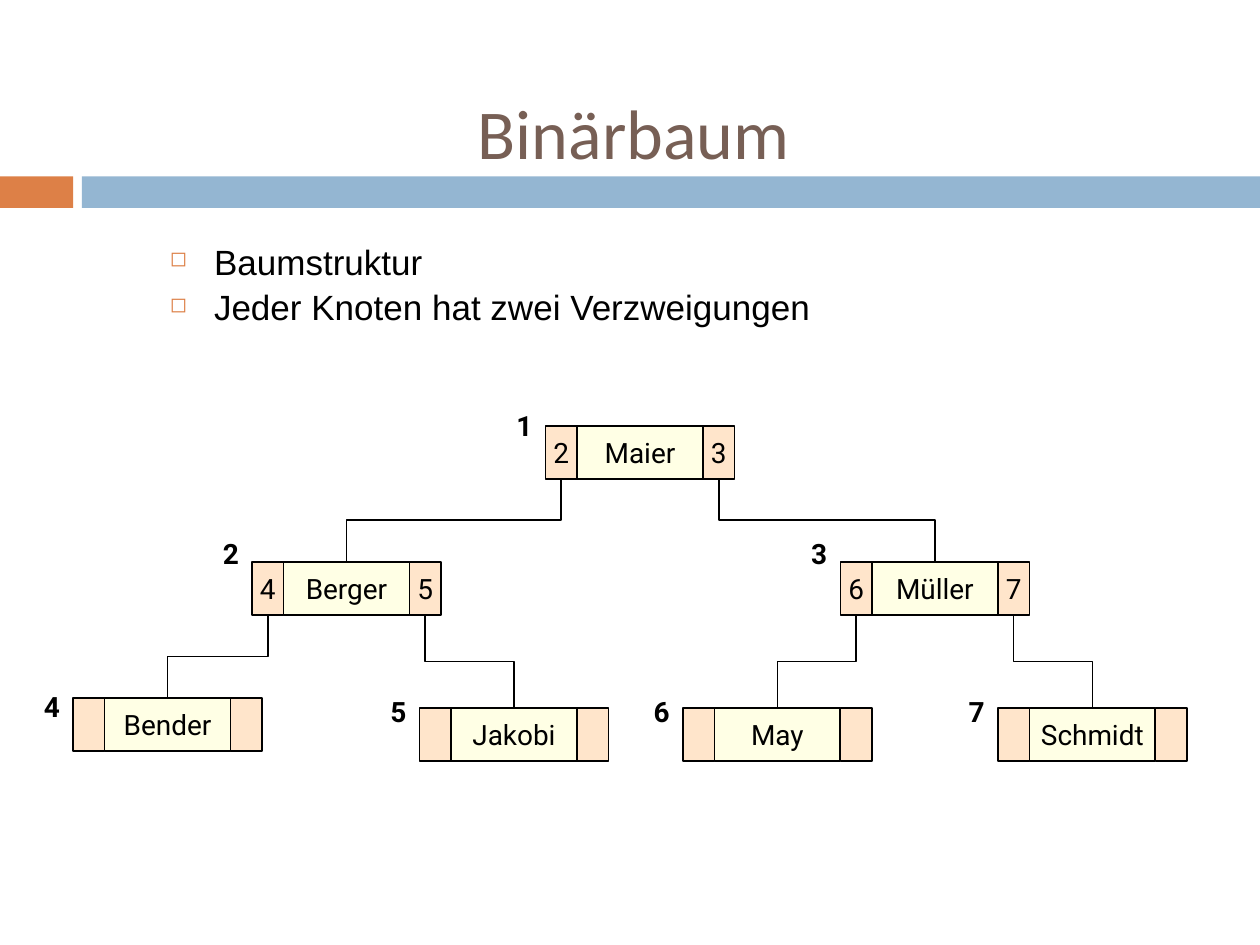
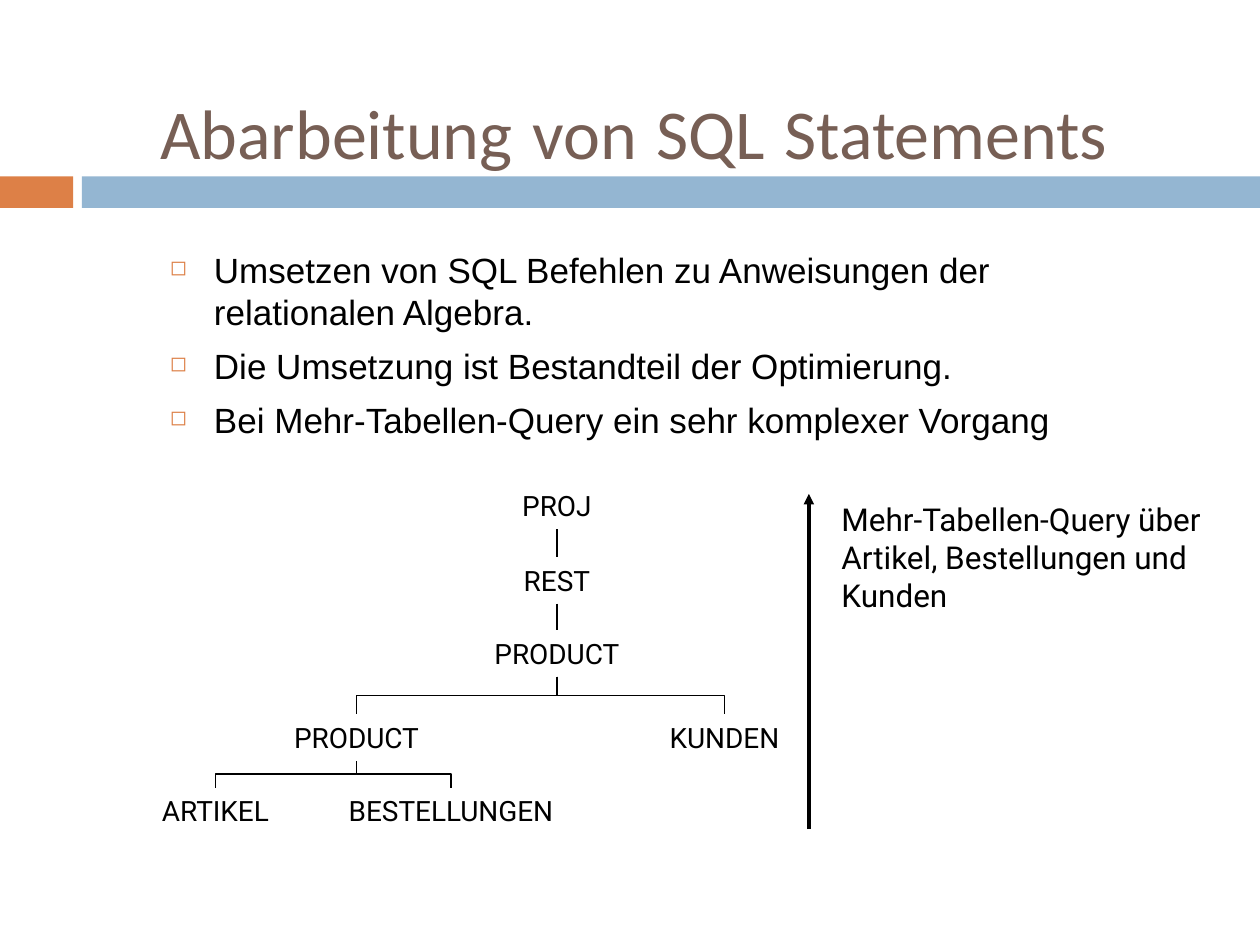
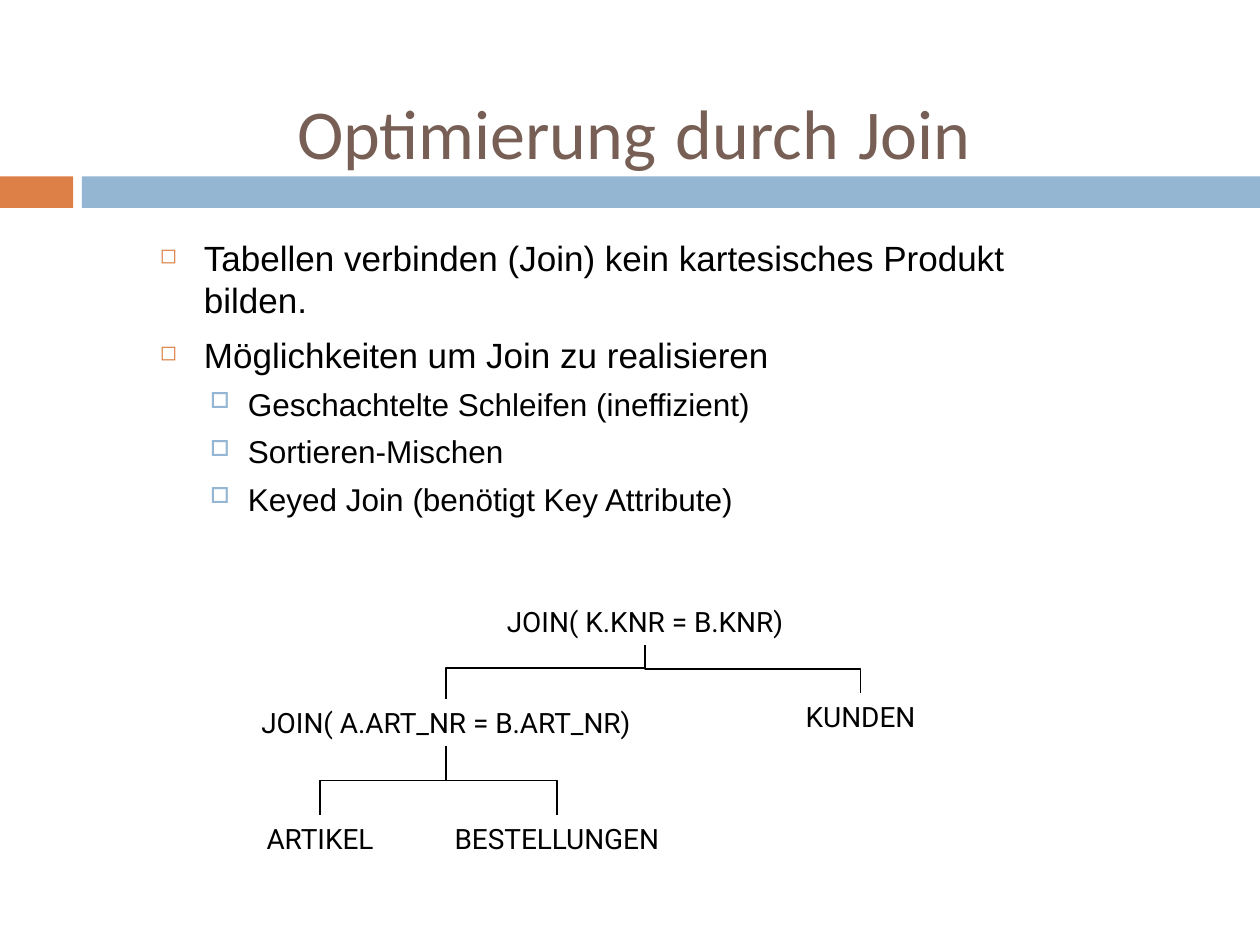
"""Build three slides on binary trees and query optimisation."""
from lxml.etree import SubElement
from pptx import Presentation
from pptx.dml.color import RGBColor
from pptx.enum.shapes import MSO_CONNECTOR as Link, MSO_SHAPE as Preset
from pptx.enum.text import MSO_ANCHOR as Anchor, PP_ALIGN as Align
from pptx.oxml.ns import qn
from pptx.util import Inches, Pt

BLACK = RGBColor(0, 0, 0)
BROWN = RGBColor(0x77, 0x5F, 0x55)
ORANGE = RGBColor(0xDD, 0x80, 0x47)
BLUE = RGBColor(0x94, 0xB6, 0xD2)
CREAM = RGBColor(0xFF, 0xFF, 0xCC)
PEACH = RGBColor(0xFF, 0xCC, 0x99)

BANDS = [(0, 0.58, ORANGE), (0.65, 9.35, BLUE)]
LEVELS = [
    dict(size=20, indent=(0.35, -0.35), before=7, bullet="◻", color=ORANGE, scale=60),
    dict(size=18, indent=(0.7, -0.3), before=5.5, bullet="□", color=BLUE, scale=70),
]

NODE_HEIGHT, POINTER_WIDTH, NAME_WIDTH = 0.42, 0.25, 1
NODES = {
    1: ("Maier", 4.33, 3.38, (2, 3)),
    2: ("Berger", 2, 4.46, (4, 5)),
    3: ("Müller", 6.67, 4.46, (6, 7)),
    4: ("Bender", 0.58, 5.54, ()),
    5: ("Jakobi", 3.33, 5.62, ()),
    6: ("May", 5.42, 5.62, ()),
    7: ("Schmidt", 7.92, 5.62, ()),
}
NUMBER_WIDTH = 0.33
NUMBER_RISE = {1: 0.19, 2: 0.25, 3: 0.25, 4: 0.12, 5: 0.16, 6: 0.16, 7: 0.16}

LABEL_HEIGHT = 0.37
QUERY_LABELS = {
    "articles": ("ARTIKEL", 1.71, 6.25, 1.08),
    "orders": ("BESTELLUNGEN", 3.58, 6.25, 1.83),
    "inner": ("PRODUCT", 2.83, 5.67, 1.83),
    "outer": ("PRODUCT", 4.42, 5, 2),
    "customers": ("KUNDEN", 5.75, 5.67, 1.83),
    "restriction": ("REST", 4.42, 4.42, 1.83),
    "projection": ("PROJ", 4.42, 3.83, 1.83),
}
QUERY_LINKS = [
    ("inner", "articles", 0.5), ("inner", "orders", 0.5),
    ("outer", "inner", 0.5), ("outer", "customers", 0.5),
    ("restriction", "outer", 0.5), ("projection", "restriction", 0.5),
]
QUERY_NOTE = "Mehr-Tabellen-Query über\nArtikel, Bestellungen und Kunden"

JOIN_LABELS = {
    "articles": ("ARTIKEL", 2.54, 6.47, 1.08),
    "orders": ("BESTELLUNGEN", 4.42, 6.47, 1.83),
    "inner": ("JOIN( A.ART_NR = B.ART_NR)", 3.54, 5.55, 3.42),
    "customers": ("KUNDEN", 6.83, 5.5, 1.83),
    "outer": ("JOIN( K.KNR = B.KNR)", 5.12, 4.75, 3.42),
}
JOIN_LINKS = [
    ("inner", "articles", 0.5), ("inner", "orders", 0.5),
    ("outer", "inner", 0.43), ("outer", "customers", 0.5),
]

TREE_POINTS = [(0, "Baumstruktur"), (0, "Jeder Knoten hat zwei Verzweigungen")]
QUERY_POINTS = [
    (0, "Umsetzen von SQL Befehlen zu Anweisungen der relationalen Algebra."),
    (0, "Die Umsetzung ist Bestandteil der Optimierung."),
    (0, "Bei Mehr-Tabellen-Query ein sehr komplexer Vorgang"),
]
JOIN_POINTS = [
    (0, "Tabellen verbinden (Join) kein kartesisches Produkt bilden."),
    (0, "Möglichkeiten um Join zu realisieren"),
    (1, "Geschachtelte Schleifen (ineffizient)"),
    (1, "Sortieren-Mischen"),
    (1, "Keyed Join (benötigt Key Attribute)"),
]


def write(para, text, size=16, font="Roboto", color=BLACK, bold=False, align=Align.LEFT):
    para.alignment = align
    for index, line in enumerate(text.split("\n")):
        if index:
            para.add_line_break()
        span = para.add_run()
        span.text = line
        span.font.size, span.font.name, span.font.bold = Pt(size), font, bold
        span.font.color.rgb = color


def add_box(page, left, top, width, height):
    box = page.shapes.add_textbox(*map(Inches, (left, top, width, height)))
    box.text_frame.word_wrap = True
    return box.text_frame


def add_rectangle(page, left, top, width, height, fill):
    shape = page.shapes.add_shape(Preset.RECTANGLE, *map(Inches, (left, top, width, height)))
    shape.shadow.inherit = False
    shape.fill.solid()
    shape.fill.fore_color.rgb = fill
    shape.line.fill.background()
    return shape


def add_line(page, kind, start, end, weight=1):
    line = page.shapes.add_connector(kind, *map(Inches, (*start, *end)))
    line.line.color.rgb = BLACK
    line.line.width = Pt(weight)
    SubElement(line._element.spPr, qn("a:effectLst"))
    return line


def add_branch(page, start, end, bend=0.5):
    """Join a parent to a child below it, turning at the given share of the drop."""
    (x1, y1), (x2, y2) = start, end
    if x1 == x2:
        add_line(page, Link.STRAIGHT, start, end)
        return
    middle_x, middle_y = (x1 + x2) / 2, (y1 + y2) / 2
    half_drop, half_span = (y2 - y1) / 2, abs(x2 - x1) / 2
    side = 1 if x2 < x1 else -1
    line = add_line(page, Link.ELBOW,
                    (middle_x - side * half_drop, middle_y - half_span),
                    (middle_x + side * half_drop, middle_y + half_span))
    properties = line._element.spPr
    turn = 90 if side == 1 else 270
    properties.find(qn("a:xfrm")).set("rot", str(turn * 60000))
    guides = properties.find(qn("a:prstGeom")).find(qn("a:avLst"))
    SubElement(guides, qn("a:gd"), name="adj1", fmla=f"val {round(bend * 100000)}")


def add_bullets(frame, points, spacing):
    for index, (level, text) in enumerate(points):
        look = LEVELS[level]
        para = frame.add_paragraph() if index else frame.paragraphs[0]
        para.level = level
        para.line_spacing = spacing
        para.space_before = Pt(look["before"] if index else 0)
        properties = para._p.get_or_add_pPr()
        margin, hanging = look["indent"]
        properties.set("marL", str(Inches(margin)))
        properties.set("indent", str(Inches(hanging)))
        color = SubElement(properties, qn("a:buClr"))
        SubElement(color, qn("a:srgbClr"), val=str(look["color"]))
        SubElement(properties, qn("a:buSzPct"), val=str(look["scale"] * 1000))
        SubElement(properties, qn("a:buChar"), char=look["bullet"])
        write(para, text, size=look["size"], font="Arial")


def add_page(deck, title, points, area, spacing=1.0):
    page = deck.slides.add_slide(deck.slide_layouts[6])
    for left, width, color in BANDS:
        add_rectangle(page, left, 1.4, width, 0.25, color)
    frame = add_box(page, 0.5, 0.58, 9.06, 0.92)
    frame.vertical_anchor = Anchor.MIDDLE
    para = frame.paragraphs[0]
    for index, word in enumerate(title.split()):
        if index:
            write(para, " ", size=32, font="DejaVu Sans", color=BROWN, bold=True)
        write(para, word, size=40, font="Calibri", color=BROWN, align=Align.CENTER)
    add_bullets(add_box(page, *area), points, spacing)
    return page


def add_cell(page, left, top, width, fill, text):
    cell = add_rectangle(page, left, top, width, NODE_HEIGHT, fill)
    tint = cell._element.spPr.find(qn("a:solidFill")).find(qn("a:srgbClr"))
    SubElement(tint, qn("a:alpha"), val="50000")
    cell.line.color.rgb = BLACK
    cell.line.width = Pt(1)
    if text:
        cell.text_frame.word_wrap = False
        cell.text_frame.vertical_anchor = Anchor.MIDDLE
        write(cell.text_frame.paragraphs[0], text, align=Align.CENTER)


def draw_nodes(page):
    name_right = POINTER_WIDTH + NAME_WIDTH
    for name, left, top, children in NODES.values():
        before, after = map(str, children or ("", ""))
        add_cell(page, left + POINTER_WIDTH, top, NAME_WIDTH, CREAM, name)
        add_cell(page, left, top, POINTER_WIDTH, PEACH, before)
        add_cell(page, left + name_right, top, POINTER_WIDTH, PEACH, after)
    for number, (name, left, top, children) in NODES.items():
        for child, offset in zip(children, (0, name_right)):
            child_left, child_top = NODES[child][1:3]
            add_branch(page, (left + offset + POINTER_WIDTH / 2, top + NODE_HEIGHT),
                       (child_left + POINTER_WIDTH + NAME_WIDTH / 2, child_top))
        frame = add_box(page, left - NUMBER_WIDTH, top - NUMBER_RISE[number],
                        NUMBER_WIDTH, LABEL_HEIGHT)
        write(frame.paragraphs[0], str(number), bold=True)


def draw_plan(page, labels, links):
    for text, center, top, width in labels.values():
        frame = add_box(page, center - width / 2, top, width, LABEL_HEIGHT)
        write(frame.paragraphs[0], text, align=Align.CENTER)
    for parent, child, bend in links:
        parent_x, parent_top = labels[parent][1:3]
        add_branch(page, (parent_x, parent_top + LABEL_HEIGHT), labels[child][1:3], bend)


def main():
    deck = Presentation()
    deck.slide_width, deck.slide_height = Inches(10), Inches(7.5)

    page = add_page(deck, "Binärbaum", TREE_POINTS, (1.25, 1.92, 7.75, 0.75), spacing=0.8)
    draw_nodes(page)

    page = add_page(deck, "Abarbeitung von SQL Statements", QUERY_POINTS, (1.25, 1.92, 7.67, 2))
    draw_plan(page, QUERY_LABELS, QUERY_LINKS)
    arrow = add_line(page, Link.STRAIGHT, (6.42, 6.58), (6.42, 3.92), weight=2)
    SubElement(arrow.line._get_or_add_ln(), qn("a:tailEnd"), type="triangle")
    write(add_box(page, 6.58, 3.92, 3.17, 1).paragraphs[0], QUERY_NOTE, size=18)

    page = add_page(deck, "Optimierung durch Join", JOIN_POINTS, (1.17, 1.83, 7.67, 2.42))
    draw_plan(page, JOIN_LABELS, JOIN_LINKS)

    deck.save("out.pptx")


if __name__ == "__main__":
    main()
